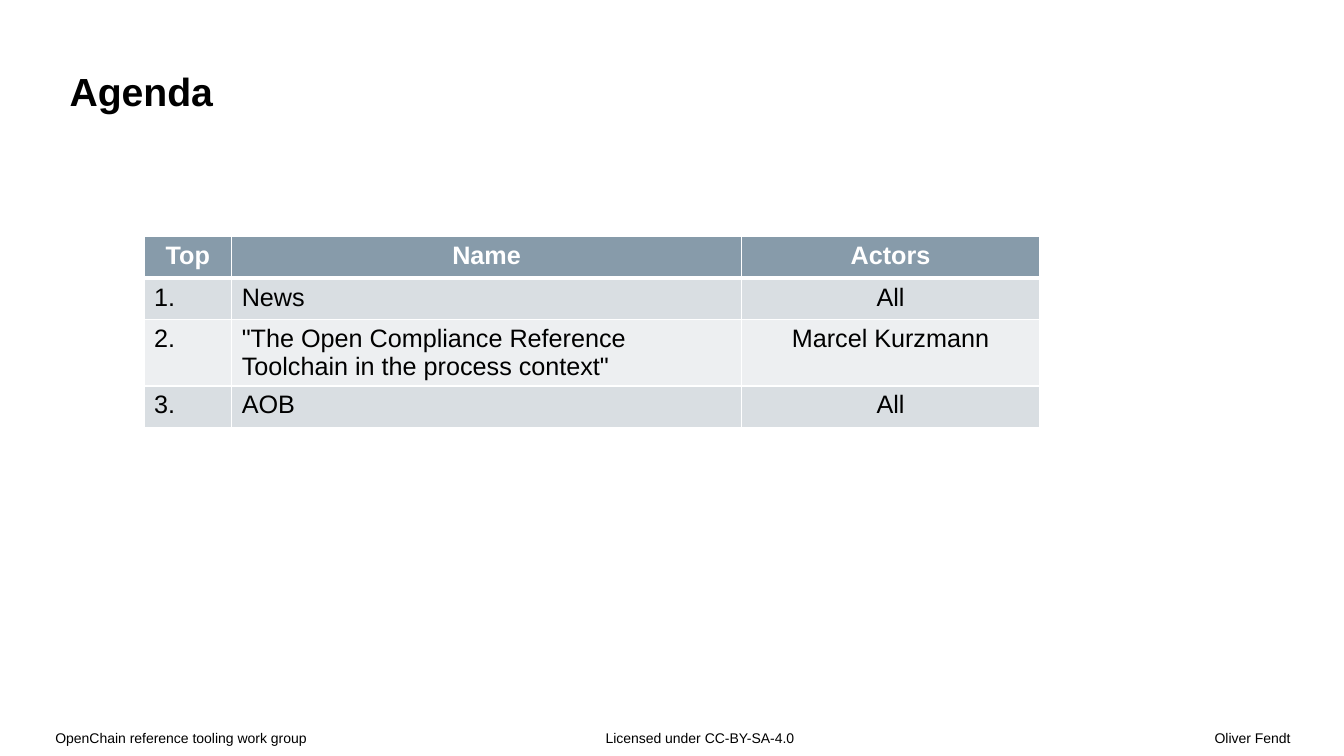
from dataclasses import dataclass

from lxml import etree
from pptx import Presentation
from pptx.dml.color import RGBColor
from pptx.enum.text import MSO_ANCHOR, MSO_AUTO_SIZE, PP_ALIGN
from pptx.oxml.ns import qn
from pptx.util import Inches, Pt

LEFT, CENTER, RIGHT = PP_ALIGN.LEFT, PP_ALIGN.CENTER, PP_ALIGN.RIGHT
TOP, BOTTOM = MSO_ANCHOR.TOP, MSO_ANCHOR.BOTTOM
NO_AUTOFIT = MSO_AUTO_SIZE.NONE
TITLE_ONLY = 5
WIDTH, HEIGHT = 13.34, 7.5


@dataclass(frozen=True)
class Theme:
    font: str = "Arial"
    text: str = "000000"
    light: str = "FFFFFF"
    header: str = "879BAA"
    bands: tuple = ("D9DEE2", "EDEFF1")
    title_size: int = 28
    table_size: int = 18
    footer_size: int = 10
    rule: int = 1
    header_rule: int = 3


THEME = Theme()

AGENDA = [
    ("Top", "Name", "Actors"),
    ("1.", "News", "All"),
    ("2.", '"The Open Compliance Reference Toolchain in the process context"',
     "Marcel Kurzmann"),
    ("3.", "AOB", "All"),
]
COLUMNS = (0.87, 5.06, 2.96)
LINE_HEIGHT, ROW_HEIGHT = 0.25, 0.41
ROW_LINES = (1, 1, 2, 1)

FOOTERS = [
    ("OpenChain reference tooling work group", 0.31, 3.4, 0.24, 0, LEFT),
    ("Licensed under CC-BY-SA-4.0", 5.32, 3.01, 0.69, 0, LEFT),
    ("Oliver Fendt", 4.14, 9.2, 0, 0.53, RIGHT),
]


def style(p, size, color, align, bold=False):
    p.alignment = align
    p.font.name = THEME.font
    p.font.size = Pt(size)
    p.font.bold = bold
    p.font.color.rgb = RGBColor.from_string(color)


def set_frame(tf, insets, anchor):
    tf.word_wrap = True
    tf.auto_size = NO_AUTOFIT
    tf.vertical_anchor = anchor
    tf.margin_left, tf.margin_top, tf.margin_right, tf.margin_bottom = map(Inches, insets)


def add_title(slide, text, left, top, width, height):
    sp = slide.shapes.title
    sp.left, sp.top, sp.width, sp.height = map(Inches, (left, top, width, height))
    tf = sp.text_frame
    set_frame(tf, (0.69, 0.43, 2.32, 0.26), BOTTOM)
    tf.text = text
    style(tf.paragraphs[0], THEME.title_size, THEME.text, LEFT, True)


def add_border(cell, side, width):
    tc_pr = cell._tc.get_or_add_tcPr()
    ln = etree.SubElement(tc_pr, qn(f"a:ln{side}"), w=str(Pt(width)))
    fill = etree.SubElement(ln, qn("a:solidFill"))
    etree.SubElement(fill, qn("a:srgbClr"), val=THEME.light)


def fill_cell(cell, text, row, column):
    is_header = row == 0
    top = THEME.header_rule if row == 1 else THEME.rule
    bottom = THEME.header_rule if is_header else THEME.rule
    for side, width in zip("LRTB", (THEME.rule, THEME.rule, top, bottom)):
        add_border(cell, side, width)
    color = THEME.header if is_header else THEME.bands[(row - 1) % 2]
    cell.fill.solid()
    cell.fill.fore_color.rgb = RGBColor.from_string(color)
    cell.text = text
    style(cell.text_frame.paragraphs[0], THEME.table_size,
          THEME.light if is_header else THEME.text,
          CENTER if is_header or column == 2 else LEFT, is_header)


def add_agenda(slide, left, top):
    heights = [ROW_HEIGHT + LINE_HEIGHT * (lines - 1) for lines in ROW_LINES]
    table = slide.shapes.add_table(
        len(AGENDA), len(COLUMNS), Inches(left), Inches(top),
        Inches(sum(COLUMNS)), Inches(sum(heights))).table
    for column, width in zip(table.columns, COLUMNS):
        column.width = Inches(width)
    for row, height in zip(table.rows, heights):
        row.height = Inches(height)
    for i, values in enumerate(AGENDA):
        for j, text in enumerate(values):
            fill_cell(table.cell(i, j), text, i, j)


def add_footers(slide, top, height):
    for text, left, width, inset_left, inset_right, align in FOOTERS:
        sp = slide.shapes.add_textbox(*map(Inches, (left, top, width, height)))
        tf = sp.text_frame
        set_frame(tf, (inset_left, 0, inset_right, 0.13), TOP)
        tf.text = text
        p = tf.paragraphs[0]
        p.line_spacing = 1.1
        style(p, THEME.footer_size, THEME.text, align)


def main():
    prs = Presentation()
    prs.slide_width, prs.slide_height = Inches(WIDTH), Inches(HEIGHT)
    slide = prs.slides.add_slide(prs.slide_layouts[TITLE_ONLY])
    add_title(slide, "Agenda", 0, 0, WIDTH, 1.39)
    add_agenda(slide, 1.43, 2.35)
    add_footers(slide, HEIGHT - 0.28, 0.28)
    prs.save("out.pptx")


if __name__ == "__main__":
    main()
